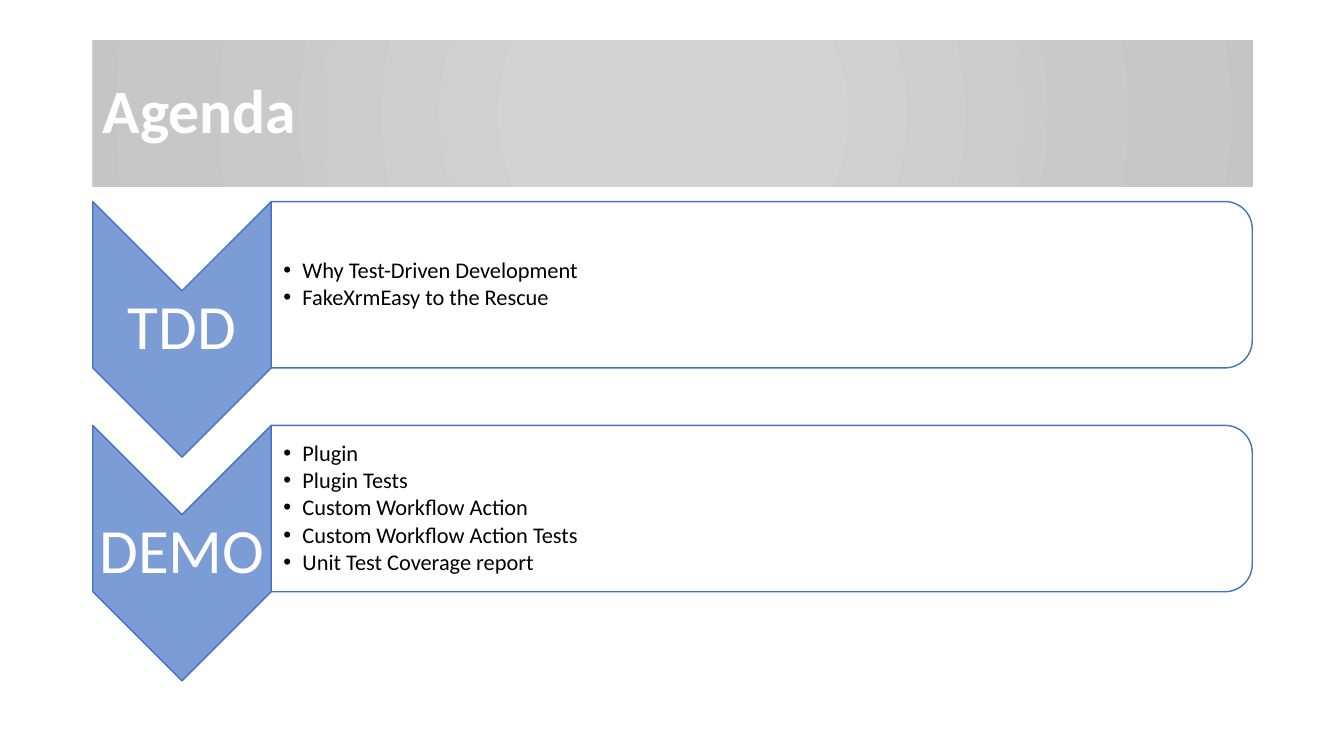
from dataclasses import dataclass
from math import cos, radians, sin

from lxml import etree
from pptx import Presentation
from pptx.dml.color import RGBColor
from pptx.enum.text import MSO_ANCHOR, MSO_AUTO_SIZE, PP_ALIGN
from pptx.oxml import parse_xml
from pptx.oxml.ns import nsdecls, qn
from pptx.util import Inches, Pt


@dataclass(frozen=True)
class Theme:
    font: str = "Calibri"
    accent: str = "4472C4"
    white: str = "FFFFFF"
    black: str = "000000"
    banner_stops: tuple = ((0, "939393"), (23, "939393"), (69, "7C7C7C"), (97, "747474"))
    banner_alpha: int = 40
    chevron_alpha: int = 70
    panel_alpha: int = 80
    title_size: int = 44
    label_size: int = 45
    topic_size: int = 16


THEME = Theme()

AGENDA = (
    ("TDD", ("Why Test-Driven Development", "FakeXrmEasy to the Rescue")),
    ("DEMO", ("Plugin", "Plugin Tests", "Custom Workflow Action",
              "Custom Workflow Action Tests", "Unit Test Coverage report")),
)

# Layout in inches
LEFT, RIGHT = 0.92, 12.42
FIRST_TOP, ROW_PITCH = 2.0, 2.22
CHEVRON_WIDTH, PANEL_HEIGHT = 1.77, 1.65
CORNER_RADIUS = 0.27


def add_text(paragraph, text, size, color, bold=False):
    paragraph.line_spacing = 0.9
    run = paragraph.add_run()
    run.text = text
    run.font.name = THEME.font
    run.font.size = Pt(size)
    run.font.bold = bold
    run.font.color.rgb = RGBColor.from_string(color)


def set_frame(frame, left, top, right, bottom):
    frame.margin_left, frame.margin_top = Inches(left), Inches(top)
    frame.margin_right, frame.margin_bottom = Inches(right), Inches(bottom)
    frame.vertical_anchor = MSO_ANCHOR.MIDDLE
    frame.word_wrap = True
    frame.auto_size = MSO_AUTO_SIZE.NONE


def add_outline(slide, points, fill, alpha):
    """Closed shape through points in inches, with a see-through fill."""
    corners = [(Inches(x), Inches(y)) for x, y in points]
    builder = slide.shapes.build_freeform(*corners[0])
    builder.add_line_segments(corners[1:], close=True)
    shape = builder.convert_to_shape()
    shape.shadow.inherit = False
    shape.fill.solid()
    shape.fill.fore_color.rgb = RGBColor.from_string(fill)
    color = shape._element.spPr.find(qn("a:solidFill")).find(qn("a:srgbClr"))
    etree.SubElement(color, qn("a:alpha")).set("val", str(alpha * 1000))
    shape.line.color.rgb = RGBColor.from_string(THEME.accent)
    shape.line.width = Pt(1)
    return shape


def add_banner(slide, text):
    banner = slide.shapes.title
    banner.left, banner.top = Inches(LEFT), Inches(0.4)
    banner.width, banner.height = Inches(RIGHT - LEFT), Inches(1.45)

    # Radial gradient from the centre
    stops = "".join(
        f'<a:gs pos="{pos * 1000}"><a:srgbClr val="{color}">'
        f'<a:alpha val="{THEME.banner_alpha * 1000}"/></a:srgbClr></a:gs>'
        for pos, color in THEME.banner_stops)
    banner._element.spPr.append(parse_xml(
        f'<a:gradFill {nsdecls("a")} rotWithShape="1"><a:gsLst>{stops}</a:gsLst>'
        '<a:path path="circle"><a:fillToRect l="50000" t="50000" r="50000" b="50000"/>'
        '</a:path></a:gradFill>'))

    set_frame(banner.text_frame, 0.1, 0.05, 0.1, 0.05)
    heading = banner.text_frame.paragraphs[0]
    heading.alignment = PP_ALIGN.LEFT
    add_text(heading, text, THEME.title_size, THEME.white, bold=True)


def add_chevron(slide, top, label):
    middle, right = LEFT + CHEVRON_WIDTH / 2, LEFT + CHEVRON_WIDTH
    shoulder, depth = top + PANEL_HEIGHT, CHEVRON_WIDTH / 2
    chevron = add_outline(
        slide,
        [(right, top), (right, shoulder), (middle, shoulder + depth),
         (LEFT, shoulder), (LEFT, top), (middle, top + depth)],
        THEME.accent, THEME.chevron_alpha)
    set_frame(chevron.text_frame, 0.03, 0.92, 0.03, 0.92)
    paragraph = chevron.text_frame.paragraphs[0]
    paragraph.alignment = PP_ALIGN.CENTER
    add_text(paragraph, label, THEME.label_size, THEME.white)


def corner(center_x, center_y, start):
    """Quarter circle, clockwise from the start angle."""
    angles = [radians(start + step) for step in range(0, 91, 6)]
    return [(center_x + CORNER_RADIUS * cos(a), center_y + CORNER_RADIUS * sin(a))
            for a in angles]


def add_panel(slide, top, topics):
    left, bottom = LEFT + CHEVRON_WIDTH, top + PANEL_HEIGHT
    center_x = RIGHT - CORNER_RADIUS
    points = [(left, top),
              *corner(center_x, top + CORNER_RADIUS, -90),
              *corner(center_x, bottom - CORNER_RADIUS, 0),
              (left, bottom)]
    panel = add_outline(slide, points, THEME.white, THEME.panel_alpha)
    frame = panel.text_frame
    set_frame(frame, 0.12, 0.09, 0.09, 0.09)
    for index, topic in enumerate(topics):
        paragraph = frame.add_paragraph() if index else frame.paragraphs[0]
        paragraph.alignment = PP_ALIGN.LEFT
        paragraph.level = 1
        paragraph.space_after = Pt(2.2)
        add_text(paragraph, topic, THEME.topic_size, THEME.black)
        add_bullet(paragraph)


def add_bullet(paragraph):
    properties = paragraph._p.get_or_add_pPr()
    properties.set("marL", str(Inches(0.19)))
    properties.set("indent", str(-Inches(0.19)))
    etree.SubElement(properties, qn("a:buFont")).set("typeface", "Arial")
    etree.SubElement(properties, qn("a:buChar")).set("char", "•")


def main():
    deck = Presentation()
    deck.slide_width, deck.slide_height = Inches(13.33), Inches(7.5)
    slide = deck.slides.add_slide(deck.slide_layouts[5])

    add_banner(slide, "Agenda")

    # One chevron and one panel for each part of the agenda
    for row, (label, topics) in enumerate(AGENDA):
        top = FIRST_TOP + row * ROW_PITCH
        add_chevron(slide, top, label)
        add_panel(slide, top, topics)

    deck.save("out.pptx")


if __name__ == "__main__":
    main()
